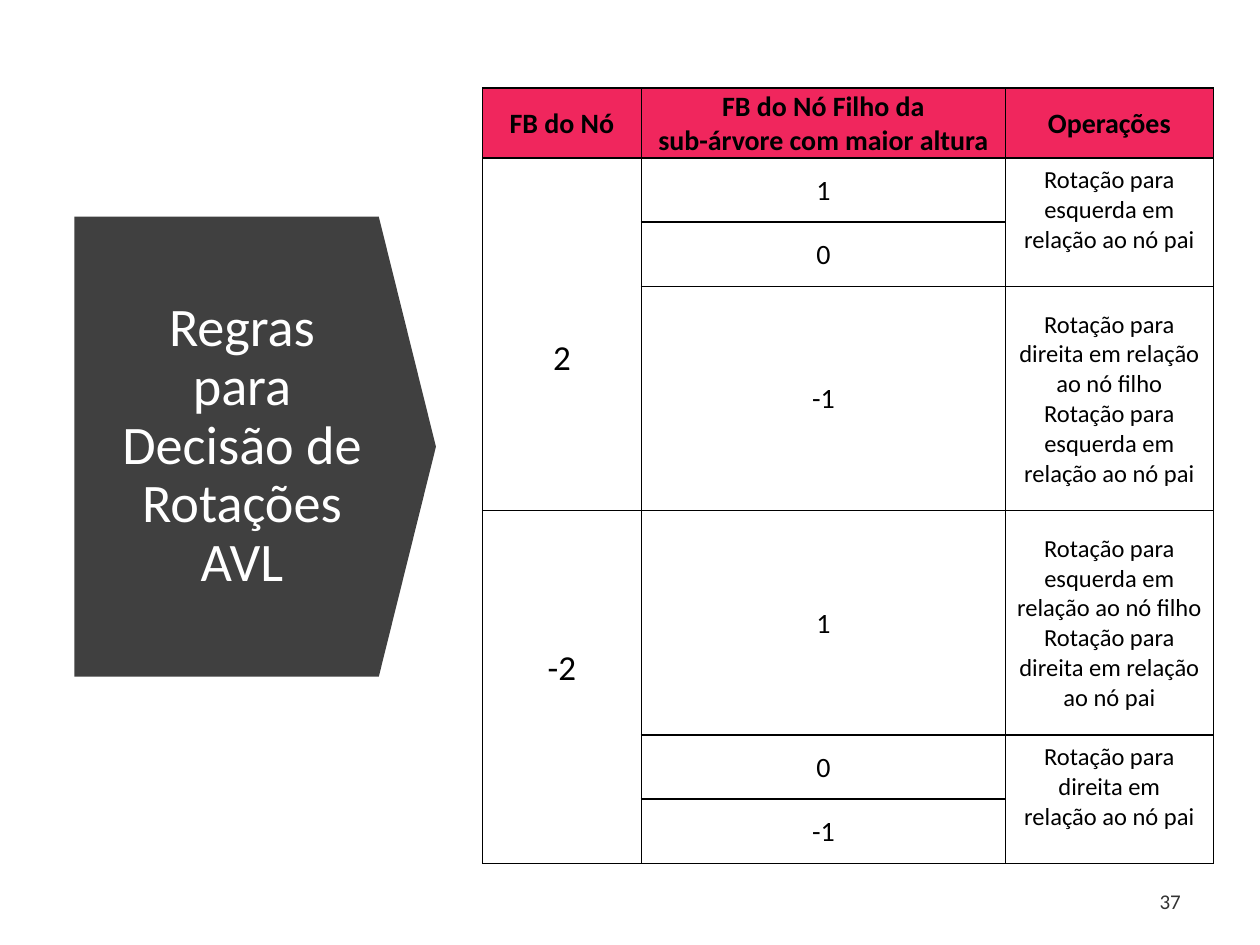
"""Build the slide of AVL rotation rules: a titled arrow beside a decision table."""
from lxml.etree import SubElement as Sub
from pptx import Presentation
from pptx.dml.color import RGBColor as RGB
from pptx.enum.shapes import MSO_SHAPE as Shape
from pptx.enum.text import MSO_ANCHOR as Anchor, MSO_AUTO_SIZE as Fit, PP_ALIGN as Align
from pptx.oxml.ns import qn
from pptx.util import Inches, Pt

THEME = {
    "font": "Calibri",
    "ink": RGB(0, 0, 0),
    "dark": RGB(0x40, 0x40, 0x40),
    "light": RGB(255, 255, 255),
    "head": RGB(0xF0, 0x26, 0x5D),
    "title": Pt(31),
    "node": Pt(20),
    "cell": Pt(16),
    "note": Pt(14),
    "page": Pt(12),
}


def write(frame, text, size, color="ink", align=Align.CENTER, bold=False):
    frame.text = text
    style = {"name": THEME["font"], "size": THEME[size], "bold": bold}
    for para in frame.paragraphs:
        para.alignment = align
        for run in para.runs:
            for key, val in style.items():
                setattr(run.font, key, val)
            run.font.color.rgb = THEME[color]


def edge(cell):
    props = cell._tc.get_or_add_tcPr()
    for side in ("lnL", "lnR", "lnT", "lnB"):
        line = Sub(props, qn(f"a:{side}"), w=str(Pt(1)))
        Sub(Sub(line, qn("a:solidFill")), qn("a:srgbClr"), val=str(THEME["ink"]))


deck = Presentation()
deck.slide_width, deck.slide_height = Inches(10), Inches(7.5)
slide = deck.slides.add_slide(deck.slide_layouts[5])
shapes = slide.shapes

arrow = shapes.add_shape(
    Shape.DOWN_ARROW, Inches(0.2), Inches(2.11), Inches(3.65), Inches(2.87))
arrow.rotation = 270
arrow.adjustments[0], arrow.adjustments[1] = 1, 0.158
arrow.shadow.inherit = False
arrow.fill.solid()
arrow.fill.fore_color.rgb = THEME["dark"]
arrow.line.fill.background()

title = shapes.title
title._element.addprevious(arrow._element)
place = {"left": 0.84, "top": 2.15, "width": 2.16, "height": 2.79}
for key, val in place.items():
    setattr(title, key, Inches(val))
frame = title.text_frame
write(frame, "Regras para Decisão de Rotações AVL", "title", "light")
frame.paragraphs[0].line_spacing = 0.9
layout = {"word_wrap": True, "auto_size": Fit.NONE, "vertical_anchor": Anchor.MIDDLE}
for key, val in layout.items():
    setattr(frame, key, val)

page = shapes.add_textbox(Inches(9.05), Inches(6.95), Inches(0.42), Inches(0.4))
for key, val in layout.items():
    setattr(page.text_frame, key, val)
write(page.text_frame, "37", "page", align=Align.RIGHT)
page.text_frame.paragraphs[0].space_after = Pt(6)
for tint in page._element.iter(qn("a:srgbClr")):
    Sub(tint, qn("a:alpha"), val="80000")

cols = (1.26, 2.89, 1.65)
rows = (0.55, 0.51, 0.51, 1.78, 1.78, 0.51, 0.51)
table = shapes.add_table(
    len(rows), len(cols), Inches(3.83), Inches(0.7),
    Inches(sum(cols)), Inches(sum(rows))).table
table.first_row = table.horz_banding = False
for col, width in zip(table.columns, cols):
    col.width = Inches(width)
for row, height in zip(table.rows, rows):
    row.height = Inches(height)

left = "Rotação para esquerda em relação ao nó "
right = "Rotação para direita em relação ao nó "
grid = (
    ("FB do Nó", "FB do Nó Filho da\nsub-árvore com maior altura", "Operações"),
    ("2", "1", left + "pai"),
    ("", "0", ""),
    ("", "-1", f"{right}filho\n{left}pai"),
    ("-2", "1", f"{left}filho\n{right}pai"),
    ("", "0", right + "pai"),
    ("", "-1", ""),
)
sizes = ("node", "cell", "note")
tight = {"margin_left": 0.09, "margin_right": 0.09, "margin_top": 0.01, "margin_bottom": 0}
loose = {"margin_left": 0.12, "margin_right": 0.12, "margin_top": 0.06, "margin_bottom": 0.06}
spans = {(1, 0): (3, 1.42), (4, 0): (3, 1.08), (1, 2): (2, 0.06), (5, 2): (2, 0.06)}

for r, texts in enumerate(grid):
    for c, text in enumerate(texts):
        cell = table.cell(r, c)
        edge(cell)
        cell.fill.background()
        if r == 0:
            cell.fill.solid()
            cell.fill.fore_color.rgb = THEME["head"]
        if text:
            write(cell.text_frame, text, sizes[c] if r else "cell", bold=r == 0)
        inset = tight
        cell.vertical_anchor = Anchor.MIDDLE
        if (r, c) in spans:
            count, drop = spans[r, c]
            cell.merge(table.cell(r + count - 1, c))
            cell.vertical_anchor = Anchor.TOP
            inset = {**loose, "margin_top": drop}
        for key, val in inset.items():
            setattr(cell, key, Inches(val))

deck.save("out.pptx")
